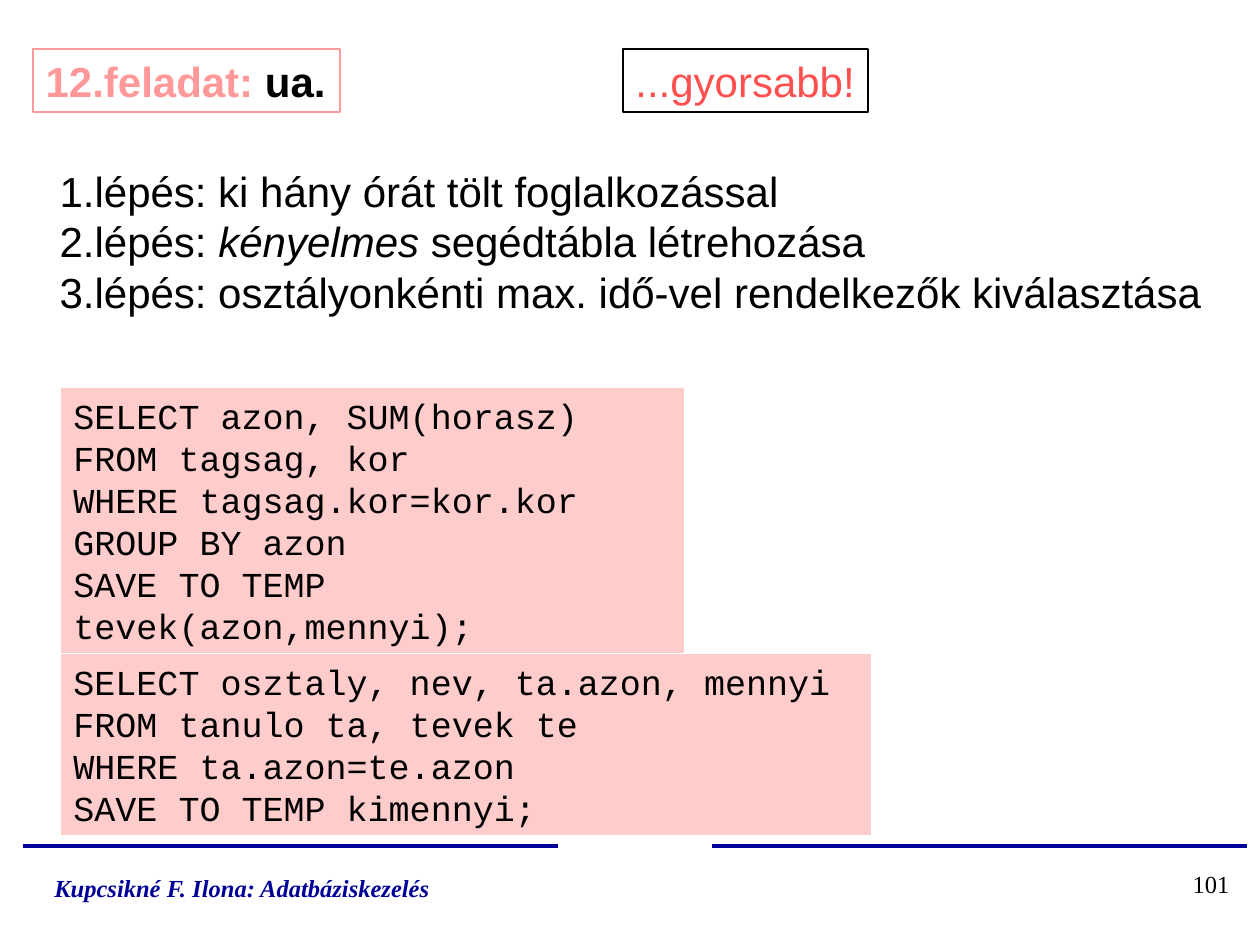
from pptx import Presentation
from pptx.dml.color import RGBColor
from pptx.enum.shapes import MSO_CONNECTOR, MSO_SHAPE
from pptx.enum.text import MSO_ANCHOR, MSO_AUTO_SIZE, PP_ALIGN
from pptx.oxml.ns import qn
from pptx.util import Emu, Pt

PIXEL = 914400 / 126

NAVY = "000099"
BLACK = "000000"
SALMON = "FF9999"
RED = "FF5050"
PINK = "FFCCCC"

STEPS = [
    "1.lépés: ki hány órát tölt foglalkozással",
    ["2.lépés: ", ("kényelmes", {"italic": True}), " segédtábla létrehozása"],
    "3.lépés: osztályonkénti max. idő-vel rendelkezők kiválasztása",
]
HOURS_QUERY = [
    "SELECT azon, SUM(horasz)",
    "FROM tagsag, kor",
    "WHERE tagsag.kor=kor.kor",
    "GROUP BY azon",
    "SAVE TO TEMP tevek(azon,mennyi);",
]
HELPER_QUERY = [
    "SELECT osztaly, nev, ta.azon, mennyi",
    "FROM tanulo ta, tevek te",
    "WHERE ta.azon=te.azon",
    "SAVE TO TEMP kimennyi;",
]


def px(length):
    return Emu(round(length * PIXEL))


def rgb(color):
    return RGBColor.from_string(color)


def place(shape, left, top, width, height):
    shape.left, shape.top = px(left), px(top)
    shape.width, shape.height = px(width), px(height)


def set_outline(shape, color, weight):
    shape.line.color.rgb = rgb(color)
    shape.line.width = Pt(weight)


def write(shape, paragraphs, font="Arial", size=24, color=BLACK, bold=False,
          italic=False, align=PP_ALIGN.LEFT, wrap=True):
    """Each paragraph is a string or a list of strings and (text, format) pairs."""
    frame = shape.text_frame
    frame.auto_size = MSO_AUTO_SIZE.NONE
    frame.word_wrap = wrap
    frame.vertical_anchor = MSO_ANCHOR.TOP
    for index, parts in enumerate(paragraphs):
        paragraph = frame.add_paragraph() if index else frame.paragraphs[0]
        paragraph.alignment = align
        paragraph.space_before = Pt(0)
        for part in [parts] if isinstance(parts, str) else parts:
            text, changes = (part, {}) if isinstance(part, str) else part
            run = paragraph.add_run()
            run.text = text
            run.font.name = font
            run.font.size = Pt(size)
            run.font.bold = bold
            run.font.italic = changes.get("italic", italic)
            run.font.color.rgb = rgb(changes.get("color", color))


def remove_bullets(shape):
    for paragraph in shape.text_frame.paragraphs:
        properties = paragraph._p.get_or_add_pPr()
        properties.set("marL", "0")
        properties.set("indent", "0")
        properties.append(properties.makeelement(qn("a:buNone"), {}))


def add_text(slide, bounds, text, **text_format):
    box = slide.shapes.add_textbox(*map(px, bounds))
    write(box, [text], **text_format)


def add_box(slide, bounds, paragraphs, fill=None, outline=None, **text_format):
    box = slide.shapes.add_shape(MSO_SHAPE.RECTANGLE, *map(px, bounds))
    box.shadow.inherit = False
    if fill:
        box.fill.solid()
        box.fill.fore_color.rgb = rgb(fill)
    else:
        box.fill.background()
    if outline:
        set_outline(box, outline, 0.75)
    else:
        box.line.fill.background()
    write(box, paragraphs, **text_format)


def add_rule(slide, left, top, length):
    rule = slide.shapes.add_connector(
        MSO_CONNECTOR.STRAIGHT, px(left), px(top), px(left + length), px(top))
    set_outline(rule, NAVY, 2)
    properties = rule._element.spPr
    properties.append(properties.makeelement(qn("a:effectLst"), {}))


def main():
    presentation = Presentation()
    presentation.slide_width = px(1260)
    presentation.slide_height = px(945)
    slide = presentation.slides.add_slide(presentation.slide_layouts[1])
    title, body = slide.placeholders

    # Footer
    for left in (23, 712):
        add_rule(slide, left, 846, 535)
    add_text(slide, (42, 867, 404, 43), "Kupcsikné F. Ilona: Adatbáziskezelés",
             font="Times New Roman", size=14, color=NAVY, bold=True,
             italic=True, wrap=False)
    add_text(slide, (1164, 863, 78, 63), "101", font="Times New Roman",
             size=14, align=PP_ALIGN.RIGHT)

    # Heading
    place(title, 33, 49, 307, 63)
    set_outline(title, SALMON, 1)
    write(title, [["12.feladat:", (" ua.", {"color": BLACK})]],
          color=SALMON, bold=True)
    add_box(slide, (623, 49, 245, 63), ["...gyorsabb!"], outline=BLACK,
            color=RED, wrap=False)

    # Steps
    place(body, 47, 159, 1167, 164)
    write(body, STEPS, wrap=False)
    remove_bullets(body)

    # Queries
    for bounds, query in (((61, 388, 623, 265), HOURS_QUERY),
                          ((61, 654, 810, 181), HELPER_QUERY)):
        add_box(slide, bounds, query, fill=PINK, font="Courier New", size=20)

    presentation.save("out.pptx")


if __name__ == "__main__":
    main()
